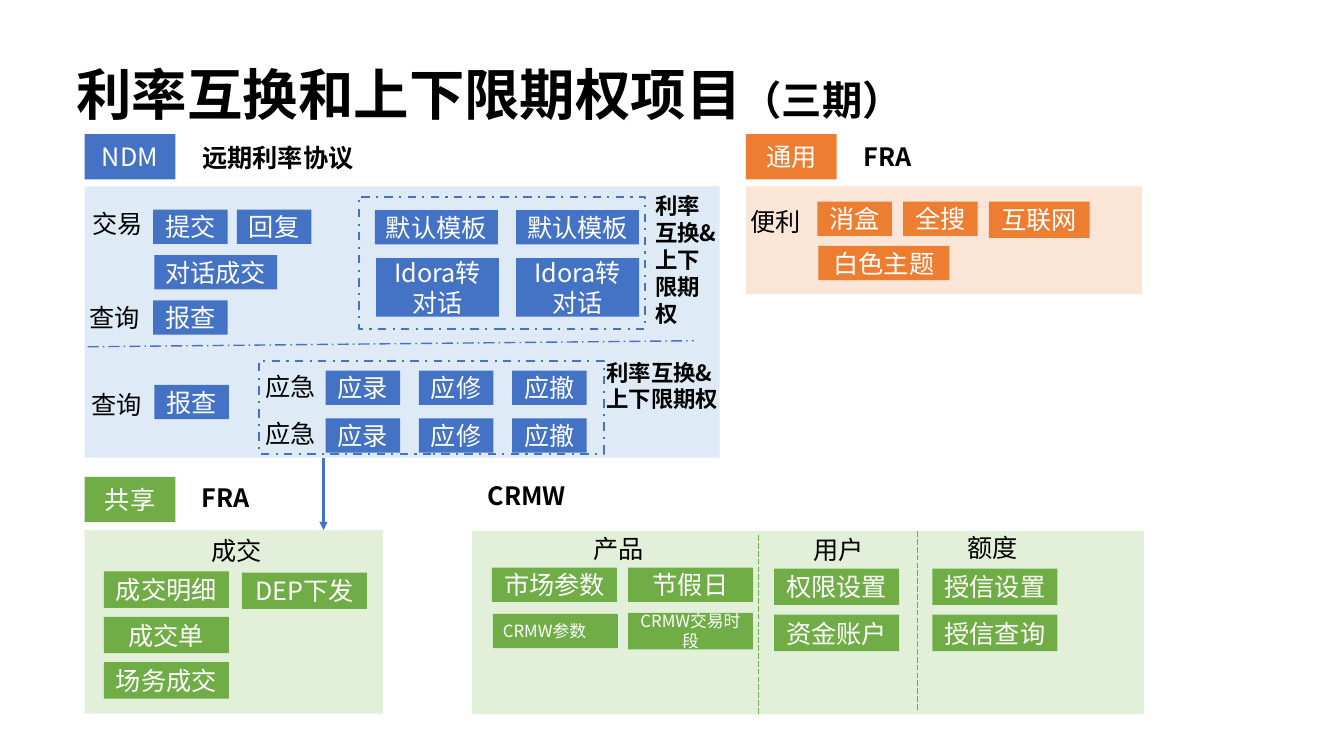
from lxml import etree
from pptx import Presentation
from pptx import util as u
from pptx.dml.color import RGBColor
from pptx.enum import dml, shapes, text
from pptx.oxml.ns import qn

FONT = "Noto Sans CJK SC"
BLUE, ORANGE, GREEN = "4472C4", "ED7D31", "70AD47"
BLACK, WHITE = "000000", "FFFFFF"
CENTER, LEFT, JUSTIFY = text.PP_ALIGN.CENTER, text.PP_ALIGN.LEFT, text.PP_ALIGN.JUSTIFY
DASH = dml.MSO_LINE

TITLE = [("利率互换和上下限期权项目", 39.6), ("（三期）", 28.8)]

# left, top, width, height, fill
PANELS = [
    (60.5, 133.2, 453.6, 193.7, "DEEBF7"),
    (60.5, 378.7, 213.1, 131, "E2F0D9"),
    (532.8, 133.2, 283, 77, "FBE5D6"),
    (337, 379.4, 480.2, 131, "E2F0D9"),
]
# left, top, label, fill
TAGS = [
    (60.5, 95.8, "NDM", BLUE),
    (532.8, 95.8, "通用", ORANGE),
    (60.5, 340.6, "共享", GREEN),
]
TAG_SIZE = (64.8, 32.4)

# chip sizes: width, height
SHORT, MEDIUM, TALL = (53.3, 24.5), (87.8, 24.5), (87.8, 41.8)
LONG, LONG_TALL = (89.3, 24.5), (89.3, 26)

# left, top, chip size, column step, row step, fill, rows of labels
CHIP_GRIDS = [
    (109.4, 149.8, SHORT, 59.8, 0, BLUE, [["提交", "回复"]]),
    (110.2, 182.2, MEDIUM, 0, 0, BLUE, [["对话成交"]]),
    (109.4, 214.6, SHORT, 0, 0, BLUE, [["报查"]]),
    (110.2, 275, SHORT, 0, 0, BLUE, [["报查"]]),
    (232.6, 264.8, SHORT, 66.6, 34, BLUE, [["应录", "应修", "应撤"]] * 2),
    (267.8, 150.1, MEDIUM, 100.8, 0, BLUE, [["默认模板"] * 2]),
    (268.6, 184.3, TALL, 100.1, 0, BLUE, [["Idora转对话"] * 2]),
    (583.9, 144, SHORT, 61.2, 0, ORANGE, [["消盒", "全搜"]]),
    (706.3, 144, (72, 26), 0, 0, ORANGE, [["互联网"]]),
    (584.6, 175.7, (93.6, 24.5), 0, 0, ORANGE, [["白色主题"]]),
    (74.2, 408.2, LONG_TALL, 0, 32.4, GREEN, [["成交明细"], ["成交单"], ["场务成交"]]),
    (172.8, 409, LONG_TALL, 0, 0, GREEN, [["DEP下发"]]),
    (351.4, 405.4, LONG, 97.2, 0, GREEN, [["市场参数", "节假日"]]),
    (553, 406.1, LONG_TALL, 113, 33, GREEN, [["权限设置", "授信设置"], ["资金账户", "授信查询"]]),
]
# left, top, chip size, label, alignment
SMALL_CHIPS = [
    (352.1, 438.5, LONG, "CRMW参数", JUSTIFY),
    (448.6, 437.8, LONG_TALL, "CRMW交易时段", CENTER),
]
# left, top, label
ROW_LABELS = [
    (59, 145.4, "交易"), (56.9, 212.4, "查询"), (58.3, 274.3, "查询"),
    (182.2, 261.4, "应急"), (182.2, 295.2, "应急"), (529.2, 144, "便利"),
    (144, 378.7, "成交"), (416.9, 377.3, "产品"), (573.8, 378, "用户"), (684, 376.6, "额度"),
]
# left, top, width, height, label, font size
HEADINGS = [
    (137.5, 97.9, 136.8, 28.8, "远期利率协议", 18),
    (609.8, 97.2, 136.8, 28.8, "FRA", 18),
    (136.8, 341.3, 107.3, 28.8, "FRA", 18),
    (341.3, 339.8, 76.3, 28.8, "CRMW", 18),
    (426.2, 252.7, 98.6, 46.1, "利率互换&上下限期权", 16),
    (460.8, 133.9, 58.3, 104.4, "利率互换&上下限期权", 16),
]
# left, top, width, height
DASHED_FRAMES = [(185, 257.8, 246.2, 66.2), (256.3, 140.4, 204.5, 94.3)]
# start x, start y, end x, end y, colour, line width, dash, arrowhead
LINES = [
    (62.6, 247.7, 495.4, 243.4, BLUE, 1, DASH.LONG_DASH_DOT, False),
    (541.4, 382.3, 541.4, 510.5, GREEN, 0.5, DASH.LONG_DASH, False),
    (655.2, 379.4, 655.2, 508.3, GREEN, 0.5, DASH.LONG_DASH, False),
    (231.1, 326.9, 231.1, 378.7, BLUE, 1.5, None, True),
]


def colour(value):
    """Turn a hex string into a colour."""
    return RGBColor.from_string(value)


def points(*lengths):
    """Turn numbers into lengths in points."""
    return [u.Pt(length) for length in lengths]


def write(shape, runs, ink, bold=False, align=LEFT, anchor=text.MSO_ANCHOR.TOP):
    """Fill a shape with one paragraph of (words, size) runs."""
    frame = shape.text_frame
    frame.word_wrap = True
    frame.vertical_anchor = anchor
    paragraph = frame.paragraphs[0]
    paragraph.alignment = align
    for words, size in runs:
        run = paragraph.add_run()
        run.text = words
        run.font.name, run.font.size, run.font.bold = FONT, u.Pt(size), bold
        run.font.color.rgb = colour(ink)
        etree.SubElement(run.font._element, qn("a:ea")).set("typeface", FONT)


def add_box(left, top, width, height, fill=None):
    """Add a rectangle without outline or shadow."""
    shape = slide.shapes.add_shape(
        shapes.MSO_SHAPE.RECTANGLE, *points(left, top, width, height))
    shape.shadow.inherit = False
    shape.line.fill.background()
    if fill:
        shape.fill.solid()
        shape.fill.fore_color.rgb = colour(fill)
    else:
        shape.fill.background()
    return shape


def add_chip(left, top, size, label, fill, font_size=18, align=CENTER):
    """Add a filled box with a white label."""
    write(add_box(left, top, *size, fill), [(label, font_size)], WHITE,
          align=align, anchor=text.MSO_ANCHOR.MIDDLE)


def add_label(left, top, width, height, runs, **style):
    """Add a black text box."""
    write(slide.shapes.add_textbox(*points(left, top, width, height)), runs, BLACK, **style)


def style_line(line, ink, width, dash):
    """Set the colour, width and dash of a line."""
    line.color.rgb = colour(ink)
    line.width = u.Pt(width)
    if dash is not None:
        line.dash_style = dash


def add_line(x1, y1, x2, y2, ink, width, dash, arrow):
    """Add a straight line, with an arrowhead at its end if asked."""
    connector = slide.shapes.add_connector(
        shapes.MSO_CONNECTOR.STRAIGHT, *points(x1, y1, x2, y2))
    style_line(connector.line, ink, width, dash)
    if arrow:
        etree.SubElement(connector.line._get_or_add_ln(), qn("a:tailEnd")).set("type", "triangle")
    etree.SubElement(connector._element.spPr, qn("a:effectLst"))


presentation = Presentation()
presentation.slide_width, presentation.slide_height = points(960, 540)
slide = presentation.slides.add_slide(presentation.slide_layouts[6])

add_label(47.5, 43.9, 828, 45.4, TITLE, bold=True, anchor=text.MSO_ANCHOR.MIDDLE)
for panel in PANELS:
    add_box(*panel)
for left, top, label, fill in TAGS:
    add_chip(left, top, TAG_SIZE, label, fill)
for left, top, size, column_step, row_step, fill, rows in CHIP_GRIDS:
    for row, labels in enumerate(rows):
        for column, label in enumerate(labels):
            add_chip(left + column * column_step, top + row * row_step, size, label, fill)
for left, top, size, label, align in SMALL_CHIPS:
    add_chip(left, top, size, label, GREEN, 12, align)
for left, top, label in ROW_LABELS:
    add_label(left, top, 51.1, 28.8, [(label, 18)])
for left, top, width, height, label, size in HEADINGS:
    add_label(left, top, width, height, [(label, size)], bold=True)
for frame in DASHED_FRAMES:
    style_line(add_box(*frame).line, BLUE, 1.5, DASH.DASH_DOT)
for line in LINES:
    add_line(*line)

presentation.save("out.pptx")
